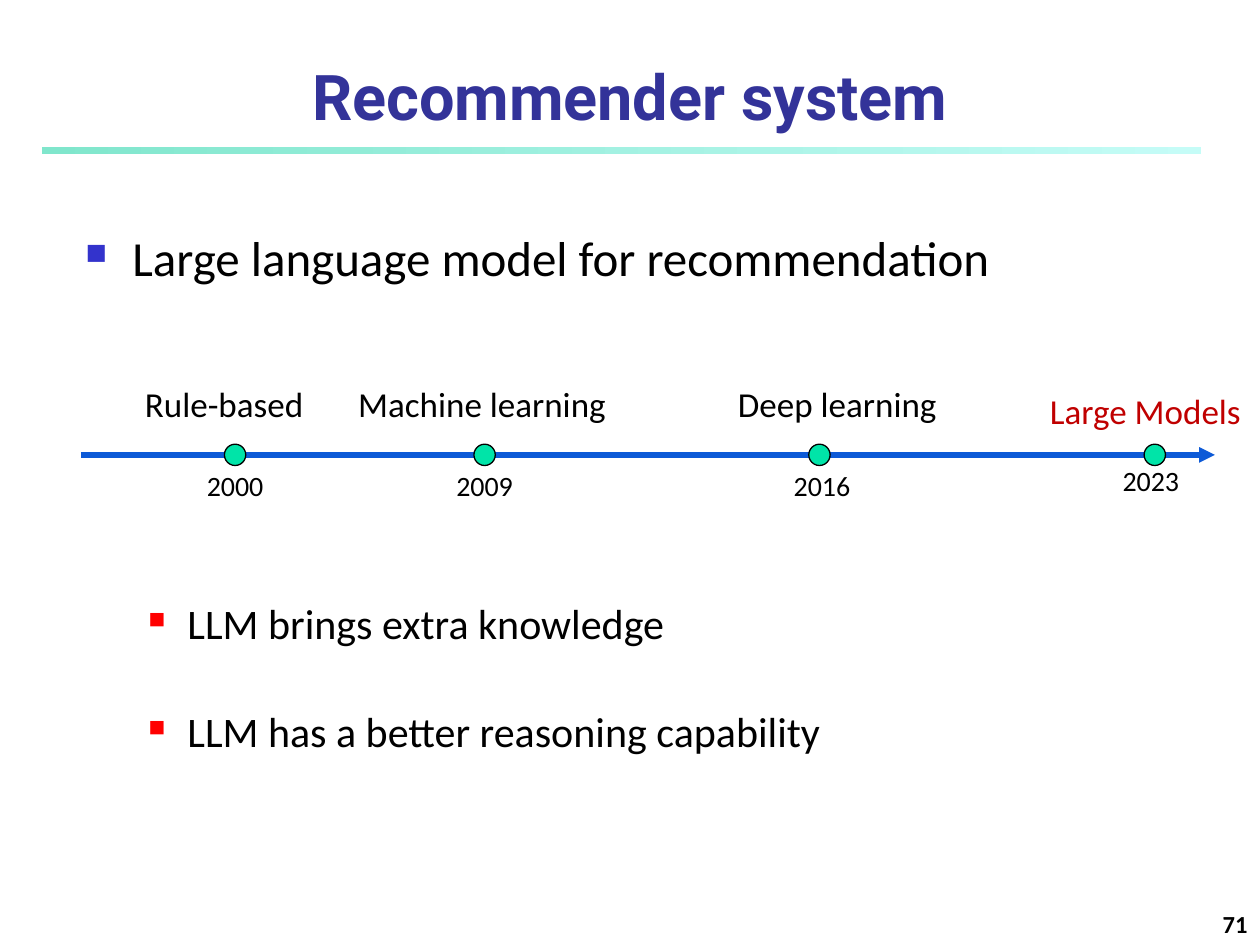
from pptx import Presentation
from pptx.dml.color import RGBColor
from pptx.enum.shapes import MSO_CONNECTOR, MSO_SHAPE
from pptx.enum.text import MSO_ANCHOR, PP_ALIGN
from pptx.oxml.ns import qn
from pptx.util import Cm, Pt
from lxml.etree import SubElement

BLACK = RGBColor(0, 0, 0)
NAVY = RGBColor(0x33, 0x33, 0x99)
BLUE = RGBColor(0x0D, 0x5A, 0xD7)
GREEN = RGBColor(0x00, 0xE4, 0xA8)
CRIMSON = RGBColor(0xC0, 0x00, 0x00)
INDIGO = RGBColor(0x33, 0x33, 0xCC)
RED = RGBColor(0xFF, 0x00, 0x00)
MINT = RGBColor(0x80, 0xE6, 0xCC)
PALE = RGBColor(0xC5, 0xFC, 0xF7)

AXIS = 9.17  # height of the timeline, cm
DOT = 0.43

# label, its centre and top; year, its centre and top; dot centre; label colour
STAGES = [
    ("Rule-based", 4.52, 7.59, "2000", 4.74, 9.32, 4.74, BLACK),
    ("Machine learning", 9.72, 7.59, "2009", 9.77, 9.32, 9.77, BLACK),
    ("Deep learning", 16.88, 7.59, "2016", 16.57, 9.32, 16.52, BLACK),
    ("Large Models", 23.09, 7.72, "2023", 23.2, 9.22, 23.28, CRIMSON),
]

# text, size, left margin and hanging indent in cm, bullet colour and size, space before
POINTS = [
    ("Large language model for recommendation", 28, 0.95, 0.95, INDIGO, 60, 0),
    ("LLM brings extra knowledge", 24, 2.06, 0.79, RED, 55, 149),
    ("LLM has a better reasoning capability", 24, 2.06, 0.79, RED, 55, 4),
]


def write(para, text, size=20, color=BLACK, font="Calibri", bold=False,
          align=PP_ALIGN.CENTER):
    para.text = text
    para.alignment = align
    para.font.size = Pt(size)
    para.font.name = font
    para.font.bold = bold
    para.font.color.rgb = color


def add_text(slide, text, left, top, width, height, anchor=MSO_ANCHOR.TOP, **style):
    box = slide.shapes.add_textbox(Cm(left), Cm(top), Cm(width), Cm(height))
    frame = box.text_frame
    frame.word_wrap = True
    frame.vertical_anchor = anchor
    write(frame.paragraphs[0], text, **style)


def add_shape(slide, kind, left, top, width, height):
    shape = slide.shapes.add_shape(kind, Cm(left), Cm(top), Cm(width), Cm(height))
    shape.shadow.inherit = False
    return shape


def set_bullet(para, margin, hang, color, size):
    props = para._p.get_or_add_pPr()
    props.set("marL", str(Cm(margin)))
    props.set("indent", str(-Cm(hang)))
    tint = SubElement(props, qn("a:buClr"))
    SubElement(tint, qn("a:srgbClr"), val=str(color))
    SubElement(props, qn("a:buSzPct"), val=str(size * 1000))
    SubElement(props, qn("a:buChar"), char="■")


def add_title(slide, text):
    title = slide.shapes.title
    title.left, title.top, title.width, title.height = Cm(0), Cm(1.07), Cm(25.4), Cm(1.7)
    title.text_frame.vertical_anchor = MSO_ANCHOR.MIDDLE
    write(title.text_frame.paragraphs[0], text, size=36, color=NAVY,
          font="Roboto", bold=True)


def add_rule(slide):
    rule = add_shape(slide, MSO_SHAPE.RECTANGLE, 0.84, 2.96, 23.37, 0.14)
    rule.fill.gradient()
    rule.fill.gradient_angle = 0
    for stop, color, place in zip(rule.fill.gradient_stops, (MINT, PALE), (0, 1)):
        stop.color.rgb = color
        stop.position = place
    rule.line.fill.background()


def add_points(slide):
    box = slide.shapes.add_textbox(Cm(1.47), Cm(3.28), Cm(23.29), Cm(12.5))
    frame = box.text_frame
    frame.word_wrap = True
    for i, (text, size, margin, hang, color, scale, gap) in enumerate(POINTS):
        para = frame.add_paragraph() if i else frame.paragraphs[0]
        para.line_spacing = 2.0
        para.space_before = Pt(gap)
        set_bullet(para, margin, hang, color, scale)
        write(para, text, size=size, align=PP_ALIGN.LEFT)


def add_arrow(slide):
    arrow = slide.shapes.add_connector(
        MSO_CONNECTOR.STRAIGHT, Cm(1.63), Cm(AXIS), Cm(24.49), Cm(AXIS))
    arrow.line.color.rgb = BLUE
    arrow.line.width = Pt(3)
    SubElement(arrow.line._get_or_add_ln(), qn("a:tailEnd"), type="triangle")
    SubElement(arrow._element.spPr, qn("a:effectLst"))


def add_stage(slide, label, mid, top, year, year_mid, year_top, spot, color):
    dot = add_shape(slide, MSO_SHAPE.OVAL, spot - DOT / 2, AXIS - DOT / 2, DOT, DOT)
    dot.fill.solid()
    dot.fill.fore_color.rgb = GREEN
    dot.line.color.rgb = BLACK
    dot.line.width = Pt(0.75)
    add_text(slide, label, mid - 3.3, top, 6.6, 1.12, color=color)
    add_text(slide, year, year_mid - 1.64, year_top, 3.28, 0.94, size=16)


def main():
    deck = Presentation()
    deck.slide_width, deck.slide_height = Cm(25.4), Cm(19.05)
    slide = deck.slides.add_slide(deck.slide_layouts[5])

    # Heading and body
    add_rule(slide)
    add_title(slide, "Recommender system")
    add_points(slide)

    # Timeline
    add_arrow(slide)
    for stage in STAGES:
        add_stage(slide, *stage)

    # Page number
    add_text(slide, "71", 20.12, 17.98, 5.28, 1.07, anchor=MSO_ANCHOR.BOTTOM,
             size=14, bold=True, align=PP_ALIGN.RIGHT)
    deck.save("out.pptx")


if __name__ == "__main__":
    main()
